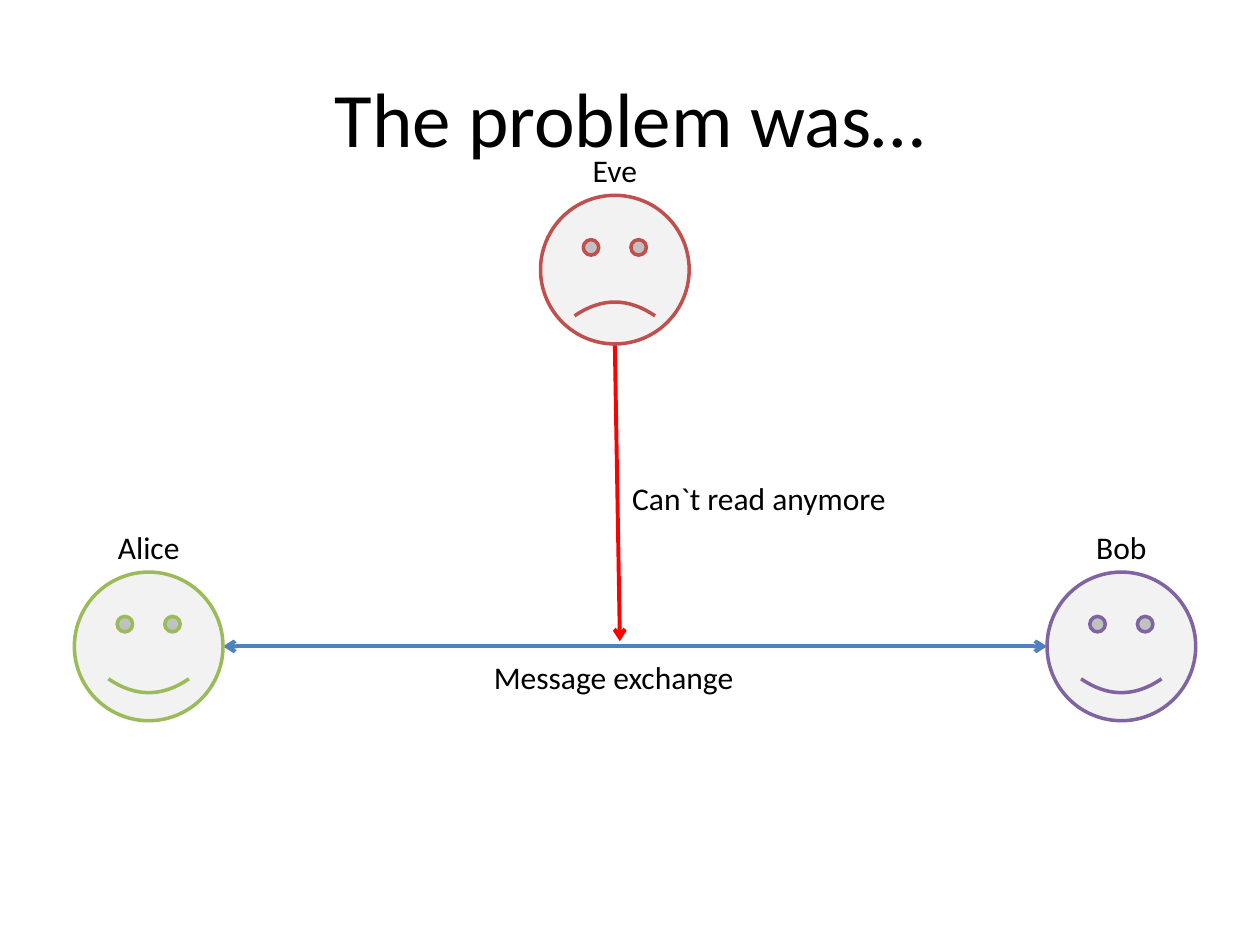
from lxml import etree
from pptx import Presentation
from pptx import util as u
from pptx.dml.color import RGBColor
from pptx.enum import shapes, text
from pptx.oxml.ns import qn

HUES = {"ink": "000000", "face": "F2F2F2", "eve": "C0504D", "alice": "9BBB59",
        "bob": "8064A2", "link": "4F81BD", "block": "FF0000"}
WIDE, HIGH = 10, 7.5
FACE = 1.18
LABEL = 0.4


def hue(name):
    """Return the named colour."""
    return RGBColor.from_string(HUES[name])


def inches(*sizes):
    """Turn numbers into lengths."""
    return [u.Inches(size) for size in sizes]


def write(frame, words, size=18, align="CENTER", anchor="TOP"):
    """Put formatted text into a frame."""
    frame.word_wrap = True
    frame.vertical_anchor = getattr(text.MSO_ANCHOR, anchor)
    para = frame.paragraphs[0]
    para.alignment = getattr(text.PP_ALIGN, align)
    run = para.add_run()
    run.text = words
    run.font.name, run.font.size = "Calibri", u.Pt(size)
    run.font.color.rgb = hue("ink")


def label(slide, words, left, top, width, **style):
    """Add a one-line text box."""
    box = slide.shapes.add_textbox(*inches(left, top, width, LABEL))
    write(box.text_frame, words, **style)


def arrow(slide, start, end, color, ends):
    """Add a straight line with open arrowheads at the given ends."""
    line = slide.shapes.add_connector(
        shapes.MSO_CONNECTOR.STRAIGHT, *inches(*start, *end))
    line.line.color.rgb, line.line.width = hue(color), u.Pt(2.25)
    for tag in ends:
        etree.SubElement(line.line._get_or_add_ln(), qn(f"a:{tag}"), type="arrow")
    etree.SubElement(line._element.spPr, qn("a:effectLst"))


def person(slide, name, left, top, mouth):
    """Add a face with its name centred above it."""
    face = slide.shapes.add_shape(
        shapes.MSO_SHAPE.SMILEY_FACE, *inches(left, top, FACE, FACE))
    face.adjustments[0] = mouth
    face.shadow.inherit = False
    face.fill.solid()
    face.fill.fore_color.rgb = hue("face")
    face.line.color.rgb, face.line.width = hue(name.lower()), u.Pt(2)
    label(slide, name, left, top - LABEL, FACE)


def heading(slide, words, left, top, width, height):
    """Place and fill the title."""
    title = slide.shapes.title
    title.left, title.top, title.width, title.height = inches(
        left, top, width, height)
    write(title.text_frame, words, size=44, anchor="MIDDLE")


def scene(slide, left, top, width, height):
    """Draw three people, their links and captions inside a box."""
    mid, low = left + width * 0.482, top + height - FACE
    right, level = left + width - FACE, low + FACE / 2
    arrow(slide, (left + FACE, level), (right, level), "link",
          ("headEnd", "tailEnd"))
    arrow(slide, (mid, top + FACE), (mid + 0.04, level - 0.04), "block",
          ("tailEnd",))
    person(slide, "Eve", mid - FACE / 2, top, -0.047)
    person(slide, "Alice", left, low, 0.047)
    person(slide, "Bob", right, low, 0.047)
    label(slide, "Can`t read anymore", mid + 0.04, level - 1.38, 2.4,
          align="LEFT")
    label(slide, "Message exchange", mid - 1.21, level + 0.04, 2.4)


def main():
    """Build and save the slide."""
    deck = Presentation()
    deck.slide_width, deck.slide_height = inches(WIDE, HIGH)
    slide = deck.slides.add_slide(deck.slide_layouts[5])
    heading(slide, "The problem was…", WIDE * 0.05, HIGH * 0.04,
            WIDE * 0.9, HIGH / 6)
    scene(slide, 0.59, 1.55, 8.9, 4.17)
    deck.save("out.pptx")


if __name__ == "__main__":
    main()
